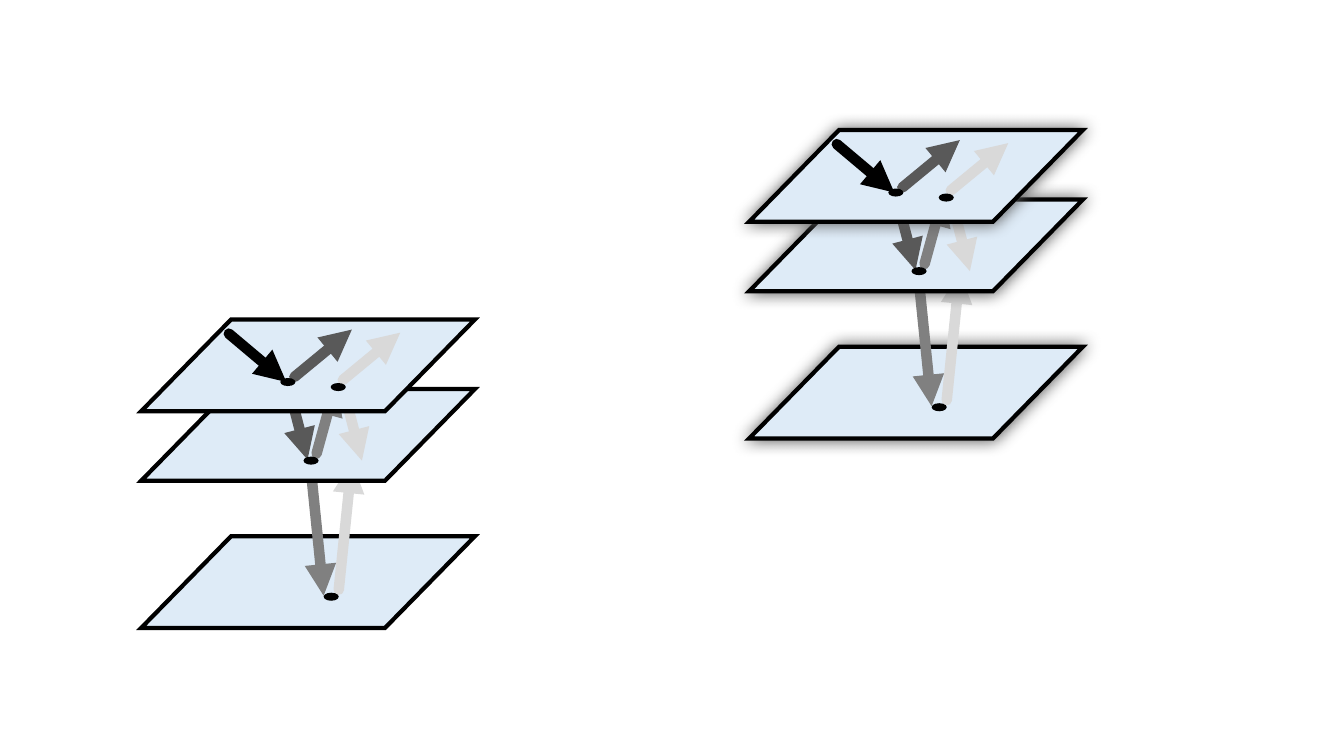
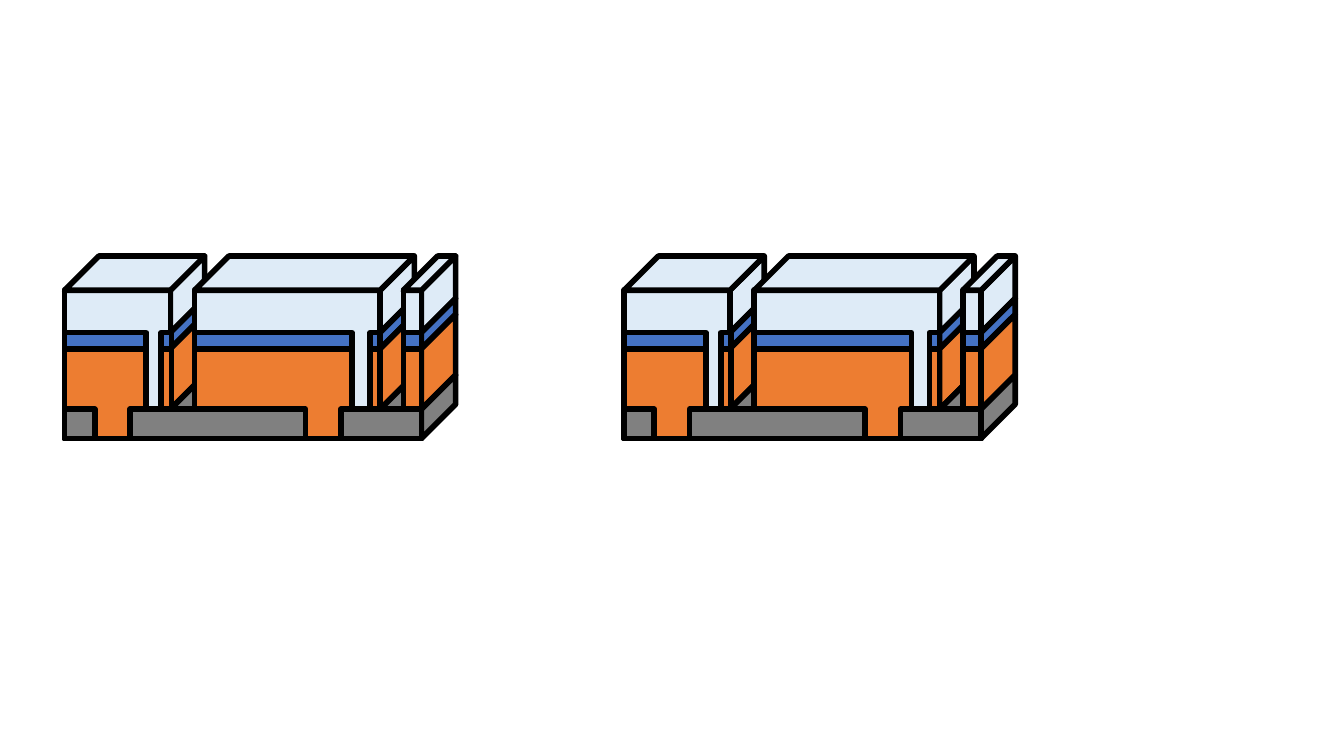
import pptx
import pptx.util
import pptx.dml.color
import pptx.enum.shapes
import pptx.oxml
import pptx.oxml.ns

Inches, Pt = pptx.util.Inches, pptx.util.Pt
RGB = pptx.dml.color.RGBColor
SHAPE = pptx.enum.shapes.MSO_SHAPE
LINE = pptx.enum.shapes.MSO_CONNECTOR.STRAIGHT

BLACK = RGB(0x00, 0x00, 0x00)
DARK = RGB(0x59, 0x59, 0x59)
GREY = RGB(0x80, 0x80, 0x80)
LIGHT = RGB(0xD9, 0xD9, 0xD9)
PALE = RGB(0xDE, 0xEB, 0xF7)
BLUE = RGB(0x44, 0x72, 0xC4)
ORANGE = RGB(0xED, 0x7D, 0x31)

# Plate stacks: left, top, glow
STACKS = [(7.43, 1.29, True), (1.4, 3.17, False)]
PLATE = (3.31, 0.91)
DOT = (0.15, 0.08)
# Plates from back to front, measured from the corner of the stack
LEVELS = [
    {"top": 2.15,
     "rays": [(1.68, 1.46, 1.81, 2.74, GREY), (1.96, 2.68, 2.09, 1.41, LIGHT)],
     "dots": [(1.81, 2.71)]},
    {"top": 0.69,
     "rays": [(1.47, 0.7, 1.65, 1.39, DARK), (1.74, 1.33, 1.93, 0.64, GREY),
              (2.01, 0.71, 2.19, 1.4, LIGHT)],
     "dots": [(1.61, 1.36)]},
    {"top": 0,
     "rays": [(0.87, 0.14, 1.44, 0.62, BLACK), (1.52, 0.57, 2.09, 0.1, DARK),
              (2.0, 0.6, 2.57, 0.13, LIGHT)],
     "dots": [(1.38, 0.58), (1.88, 0.63)]},
]

# Cell models: left edges, then (offset, width) of the parts
MODELS = [6.19, 0.64]
DEPTH = 0.34
BASE = 4.35
LAYERS = [(2.88, 3.3, PALE), (3.3, 3.46, BLUE), (3.46, 4.06, ORANGE), (4.06, BASE, GREY)]
BLOCKS = [(0, 1.05), (1.29, 1.84), (3.36, 0.18)]
STRIPS = [(0, 0.81), (0.96, 0.1), (1.29, 1.56), (3.03, 0.1), (3.36, 0.18)]
PADS = [(0, 0.3), (0.65, 1.74), (2.74, 0.8)]


def add(parent, tag, **attrs):
    node = pptx.oxml.parse_xml(f"<a:{tag} {pptx.oxml.ns.nsdecls('a')}/>")
    for name, value in attrs.items():
        node.set(name, str(value))
    parent.append(node)
    return node


def draw(group, kind, left, top, width, height, fill, weight=0, join="round"):
    shape = group.shapes.add_shape(
        kind, Inches(left), Inches(top), Inches(width), Inches(height))
    shape.fill.solid()
    shape.fill.fore_color.rgb = fill
    if weight:
        shape.line.color.rgb = BLACK
        shape.line.width = Pt(weight)
        add(shape.line._get_or_add_ln(), join)
    else:
        shape.line.fill.background()
    shape.shadow.inherit = False
    return shape


def slant(group, left, top, width, height, fill, weight, join="round", skew=1):
    shape = draw(group, SHAPE.PARALLELOGRAM, left, top, width, height, fill, weight, join)
    shape.adjustments[0] = skew
    return shape


def glow(shape):
    effects = shape._element.spPr.find(pptx.oxml.ns.qn("a:effectLst"))
    shade = add(effects, "outerShdw", blurRad=Pt(12), dist=0, dir=0,
                algn="ctr", rotWithShape=0)
    add(shade, "srgbClr", val=DARK)


def ray(group, x1, y1, x2, y2, color):
    arrow = group.shapes.add_connector(LINE, *map(Inches, (x1, y1, x2, y2)))
    arrow.line.color.rgb = color
    arrow.line.width = Pt(7.5)
    outline = arrow.line._get_or_add_ln()
    outline.set("cap", "rnd")
    add(outline, "round")
    add(outline, "tailEnd", type="triangle")
    add(arrow._element.spPr, "effectLst")


def side(group, left, top, base, fill):
    # The slanted face is turned upright about its centre
    tall = base - top + DEPTH
    mid = (top - DEPTH + base) / 2
    face = slant(group, left + DEPTH / 2 - tall / 2, mid - DEPTH / 2, tall, DEPTH, fill, 4)
    face.rotation = 90
    face._element.spPr.xfrm.set("flipV", "1")


def front(group, left, top, width, fill):
    draw(group, SHAPE.RECTANGLE, left, top, width, BASE - top, fill, 4)


def stack(slide, left, top, lit):
    group = slide.shapes.add_group_shape()
    for level in LEVELS:
        plate = slant(group, left, top + level["top"], *PLATE, PALE, 3, "miter", 0.98)
        if lit:
            glow(plate)
        for x1, y1, x2, y2, color in level["rays"]:
            ray(group, left + x1, top + y1, left + x2, top + y2, color)
        for x, y in level["dots"]:
            draw(group, SHAPE.OVAL, left + x, top + y, *DOT, BLACK)


def model(slide, left):
    group = slide.shapes.add_group_shape()
    # Side faces
    for x, width in BLOCKS:
        for top, base, fill in LAYERS:
            side(group, left + x + width, top, base, fill)
    # Front faces, each layer over the one before
    for parts, (top, base, fill) in zip((BLOCKS, STRIPS, STRIPS, PADS), LAYERS):
        for x, width in parts:
            front(group, left + x, top, width, fill)
    # Top faces
    for x, width in reversed(BLOCKS):
        slant(group, left + x, LAYERS[0][0] - DEPTH, width + DEPTH, DEPTH, PALE, 4)


def main():
    deck = pptx.Presentation()
    deck.slide_width, deck.slide_height = Inches(13.33), Inches(7.5)
    blank = deck.slide_layouts[6]
    plates = deck.slides.add_slide(blank)
    for place in STACKS:
        stack(plates, *place)
    cells = deck.slides.add_slide(blank)
    for left in MODELS:
        model(cells, left)
    deck.save("out.pptx")


if __name__ == "__main__":
    main()
